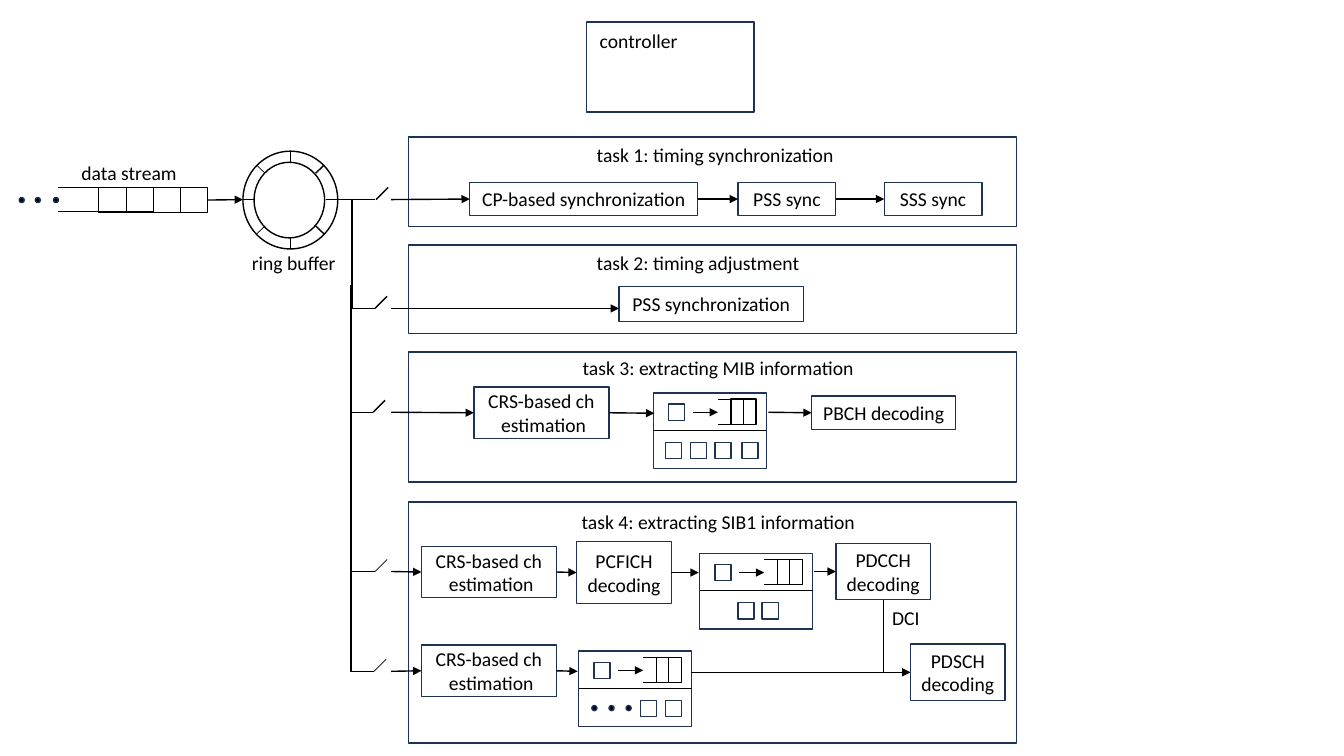
import math
from dataclasses import dataclass
from typing import Optional

import pptx
import pptx.dml.color
import pptx.enum.shapes
import pptx.enum.text
import pptx.oxml
import pptx.oxml.ns
import pptx.util

Inches = pptx.util.Inches
Pt = pptx.util.Pt
KIND = pptx.enum.shapes.MSO_SHAPE
LINK = pptx.enum.shapes.MSO_CONNECTOR
ALIGN = pptx.enum.text.PP_ALIGN
COLORS = {"ink": "000000", "navy": "1E3256"}
FONT = "Calibri"
TOP, LEFT, BOTTOM, RIGHT = range(4)


@dataclass
class Box:
    name: str
    text: str
    x: float
    y: float
    w: float
    h: float


@dataclass
class Label:
    text: str
    x: float
    y: float
    w: float


@dataclass
class Buffer:
    x: float
    y: float
    cells: tuple
    dots: tuple = ()


@dataclass
class Lane:
    """One switched branch: trunk start, blade foot, and arrow target."""
    y: float
    foot: float
    tip: float
    box: Optional[str]
    thick: float = 1
    trunk: Optional[tuple] = None


deck = pptx.Presentation()
deck.slide_width, deck.slide_height = Inches(13.33), Inches(7.5)
slide = deck.slides.add_slide(deck.slide_layouts[6])
shapes = slide.shapes


def tint(name: str):
    return pptx.dml.color.RGBColor.from_string(COLORS[name])


def write(frame, text: str, *, size: float = 14, color: str = "ink", align=ALIGN.LEFT):
    """Fill a text frame, one paragraph per line of text."""
    frame.word_wrap = True
    frame.text = text
    for para in frame.paragraphs:
        para.alignment = align
        for run in para.runs:
            run.font.name, run.font.size = FONT, Pt(size)
            run.font.color.rgb = tint(color)


def draw(x: float, y: float, w: float, h: float, kind=KIND.RECTANGLE,
         edge: str = "navy", fill: Optional[str] = None):
    shape = shapes.add_shape(kind, Inches(x), Inches(y), Inches(w), Inches(h))
    shape.shadow.inherit = False
    shape.line.color.rgb = tint(edge)
    shape.line.width = Pt(1)
    if fill:
        shape.fill.solid()
        shape.fill.fore_color.rgb = tint(fill)
    else:
        shape.fill.background()
    return shape


def dot(x: float, y: float):
    draw(x, y, 0.05, 0.05, KIND.OVAL, fill="ink")


def line(x0: float, y0: float, x1: float, y1: float, thick: float = 1,
         arrow: bool = False, start=None, end=None, kind=LINK.STRAIGHT):
    """Draw a connector; start and end are optional (shape, side) pairs."""
    link = shapes.add_connector(kind, Inches(x0), Inches(y0), Inches(x1), Inches(y1))
    if start:
        link.begin_connect(*start)
    if end:
        link.end_connect(*end)
    link.line.color.rgb = tint("ink")
    link.line.width = Pt(thick)
    if arrow:
        tail = pptx.oxml.parse_xml(f'<a:tailEnd {pptx.oxml.ns.nsdecls("a")} type="triangle"/>')
        link.line._get_or_add_ln().append(tail)
    link._element.spPr.append(
        pptx.oxml.parse_xml(f'<a:effectLst {pptx.oxml.ns.nsdecls("a")}/>'))
    return link


def bend(x0: float, y0: float, x1: float, y1: float):
    """Elbow that runs down first, then right."""
    midx, midy = (x0 + x1) / 2, (y0 + y1) / 2
    w, h = (y1 - y0) / 2, (x1 - x0) / 2
    link = line(midx + w, midy - h, midx - w, midy + h, kind=LINK.ELBOW)
    props = link._element.spPr
    props.find(pptx.oxml.ns.qn("a:xfrm")).set("rot", "16200000")
    geom = props.find(pptx.oxml.ns.qn("a:prstGeom"))
    for old in list(geom):
        geom.remove(old)
    geom.append(pptx.oxml.parse_xml(
        f'<a:avLst {pptx.oxml.ns.nsdecls("a")}><a:gd name="adj1" fmla="val 100000"/></a:avLst>'))


def store(item: Buffer):
    """Draw a two-row buffer: a queue on top, stored cells below."""
    x, y = item.x, item.y
    draw(x, y, 1.12, 0.75)
    line(x, y + 0.37, x + 1.12, y + 0.37)
    draw(x + 0.77, y + 0.06, 0.25, 0.25, edge="ink")
    for rail in (y + 0.31, y + 0.06):
        line(x + 0.9, rail, x + 0.64, rail, 0.5)
    line(x + 0.89, y + 0.06, x + 0.89, y + 0.31, 0.5)
    line(x + 0.39, y + 0.19, x + 0.64, y + 0.19, arrow=True)
    draw(x + 0.15, y + 0.11, 0.16, 0.16)
    for cell in item.cells:
        draw(x + cell, y + 0.49, 0.16, 0.16)
    for spot in item.dots:
        dot(x + spot, y + 0.54)


# Data stream and ring buffer
queue = draw(0.98, 1.86, 1.08, 0.25, edge="ink")
for rail in (2.1, 1.86):
    line(1.52, rail, 0.58, rail, 0.5)
for k in (1, 2, 3):
    line(0.98 + 0.27 * k, 1.86, 0.98 + 0.27 * k, 2.1, 0.5)
for spot in (0.19, 0.35, 0.53):
    dot(spot, 1.96)
draw(2.41, 1.5, 0.94, 0.97, KIND.OVAL, "ink")
draw(2.52, 1.61, 0.7, 0.75, KIND.OVAL, "ink")
for k in range(8):
    cos, sin = math.cos(k * math.pi / 4), math.sin(k * math.pi / 4)
    line(2.88 + 0.355 * cos, 1.98 + 0.37 * sin, 2.88 + 0.47 * cos, 1.98 + 0.48 * sin,
         1 if k in (0, 1, 7) else 0.5)
line(2.06, 1.98, 2.41, 1.98, arrow=True, start=(queue, RIGHT))

# Frames, steps and labels
CRS = "CRS-based ch\n estimation"
boxes = [
    Box("control", "", 5.82, 0.22, 1.66, 0.89),
    Box("task1", "", 4.05, 1.36, 6.03, 0.89),
    Box("task2", "", 4.05, 2.43, 6.03, 0.88),
    Box("task3", "", 4.05, 3.49, 6.03, 1.29),
    Box("task4", "", 4.05, 4.98, 6.03, 2.39),
    Box("cp", "CP-based synchronization", 4.66, 1.81, 2.26, 0.33),
    Box("pss", "PSS sync", 7.32, 1.81, 0.97, 0.33),
    Box("sss", "SSS sync", 8.77, 1.81, 0.97, 0.33),
    Box("adjust", "PSS synchronization", 6.14, 2.84, 1.83, 0.35),
    Box("crs3", CRS, 4.7, 3.84, 1.34, 0.51),
    Box("pbch", "PBCH decoding", 8.05, 3.93, 1.43, 0.33),
    Box("crs4", CRS, 4.18, 5.42, 1.34, 0.51),
    Box("crs5", CRS, 4.18, 6.4, 1.34, 0.51),
    Box("pcfich", "PCFICH decoding", 5.72, 5.37, 0.94, 0.62),
    Box("pdcch", "PDCCH decoding", 8.29, 5.39, 0.94, 0.56),
    Box("pdsch", "PDSCH decoding", 9.03, 6.39, 0.94, 0.56),
]
nodes = {}
for box in boxes:
    nodes[box.name] = draw(box.x, box.y, box.w, box.h)
    if box.text:
        write(nodes[box.name].text_frame, box.text, align=ALIGN.CENTER)

for label in [
    Label("controller", 5.85, 0.24, 1.13),
    Label("data stream", 0.71, 1.55, 1.83),
    Label("ring buffer", 2.4, 2.44, 1.24),
    Label("task 1: timing synchronization", 5.82, 1.37, 2.83),
    Label("task 2: timing adjustment", 5.82, 2.44, 2.83),
    Label("task 3: extracting MIB information", 5.68, 3.48, 2.98),
    Label("task 4: extracting SIB1 information", 5.67, 5.01, 3.12),
    Label("DCI", 8.75, 5.96, 0.57),
]:
    area = shapes.add_textbox(Inches(label.x), Inches(label.y), Inches(label.w), Inches(0.34))
    write(area.text_frame, label.text)
    area.text_frame.auto_size = pptx.enum.text.MSO_AUTO_SIZE.SHAPE_TO_FIT_TEXT

for item in [
    Buffer(6.48, 3.9, (0.12, 0.37, 0.61, 0.88)),
    Buffer(6.94, 5.49, (0.38, 0.62)),
    Buffer(5.74, 6.46, (0.61, 0.86), (0.13, 0.3, 0.47)),
]:
    store(item)

# Arrows between steps: from box, to box, and the ends on the page
for src, dst, x0, x1, y in [
    ("cp", "pss", 6.91, 7.32, 1.97),
    ("pss", "sss", 8.28, 8.77, 1.97),
    ("crs3", None, 6.04, 6.49, 4.1),
    (None, "pbch", 7.62, 8.05, 4.09),
    ("crs4", "pcfich", 5.53, 5.72, 5.67),
    ("pcfich", None, 6.67, 6.93, 5.68),
    (None, "pdcch", 8.07, 8.29, 5.67),
    ("crs5", None, 5.53, 5.73, 6.66),
    (None, "pdsch", 6.85, 9.03, 6.67),
]:
    line(x0, y, x1, y, arrow=True, start=(nodes[src], RIGHT) if src else None,
         end=(nodes[dst], LEFT) if dst else None)
line(8.76, 5.95, 8.76, 6.67, start=(nodes["pdcch"], BOTTOM))

# Switched branches from the ring buffer
line(3.32, 1.98, 3.72, 1.98)
for lane in [
    Lane(1.98, 3.73, 4.66, "cp"),
    Lane(3.06, 3.72, 6.14, None, trunk=(3.49, 1.98)),
    Lane(4.09, 3.7, 4.7, "crs3", trunk=(3.48, 2.83)),
    Lane(5.67, 3.72, 4.18, "crs4", 0.5, (3.48, 3.96)),
    Lane(6.66, 3.71, 4.18, "crs5", 0.5, (3.48, 5.67)),
]:
    if lane.trunk:
        bend(*lane.trunk, lane.foot, lane.y)
    line(lane.foot, lane.y, lane.foot + 0.12, lane.y - 0.12, lane.thick)
    line(3.88, lane.y, lane.tip, lane.y, arrow=True,
         end=(nodes[lane.box], LEFT) if lane.box else None)

deck.save("out.pptx")
